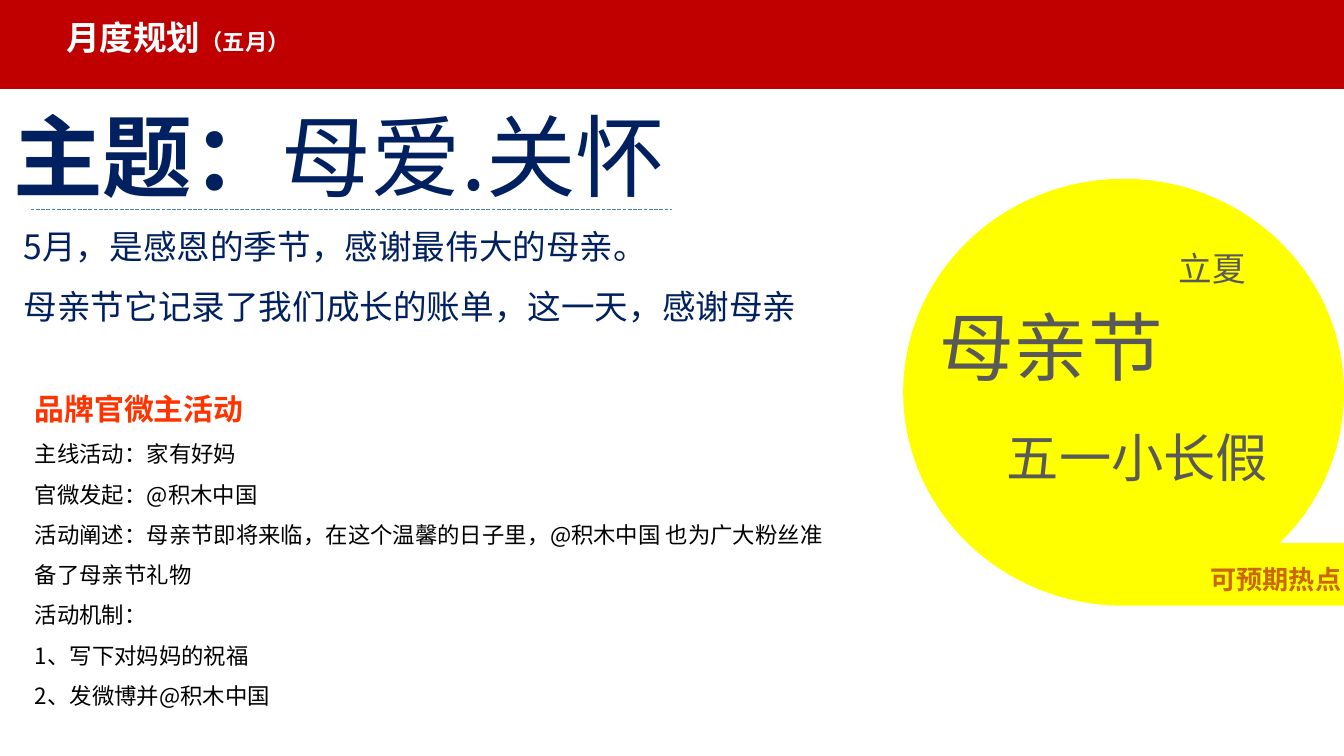
from lxml import etree
from pptx import Presentation
from pptx.dml.color import RGBColor
from pptx.enum.dml import MSO_LINE
from pptx.enum.shapes import MSO_CONNECTOR, MSO_SHAPE
from pptx.enum.text import PP_ALIGN
from pptx.oxml.ns import qn
from pptx.util import Cm, Pt

RECTANGLE = MSO_SHAPE.RECTANGLE
TAPE = MSO_SHAPE.FLOWCHART_SEQUENTIAL_ACCESS_STORAGE
STRAIGHT = MSO_CONNECTOR.STRAIGHT
LONG_DASH = MSO_LINE.LONG_DASH
LEFT = PP_ALIGN.LEFT
RIGHT = PP_ALIGN.RIGHT

RED = RGBColor(0xC0, 0x00, 0x00)
WHITE = RGBColor(0xFF, 0xFF, 0xFF)
NAVY = RGBColor(0x00, 0x20, 0x60)
YELLOW = RGBColor(0xFF, 0xFF, 0x00)
BROWN = RGBColor(0xCC, 0x66, 0x00)
ORANGE = RGBColor(0xFF, 0x33, 0x00)
BLACK = RGBColor(0x00, 0x00, 0x00)
GREY = RGBColor(0x59, 0x59, 0x59)
BLUE = RGBColor(0x4B, 0x7E, 0xBC)
FONT = "Noto Sans CJK SC"


def add_block(slide, shape_type, box, color):
    shape = slide.shapes.add_shape(shape_type, *[Cm(value) for value in box])
    shape.shadow.inherit = False
    shape.fill.solid()
    shape.fill.fore_color.rgb = color
    shape.line.fill.background()


def add_text(slide, box, paragraphs, alignment=LEFT, line_spacing=1.0):
    text_box = slide.shapes.add_textbox(*[Cm(value) for value in box])
    frame = text_box.text_frame
    frame.word_wrap = True
    for index, runs in enumerate(paragraphs):
        paragraph = frame.add_paragraph() if index else frame.paragraphs[0]
        for name, value in {"alignment": alignment, "line_spacing": line_spacing}.items():
            setattr(paragraph, name, value)
        for text, size, color, bold in runs:
            run = paragraph.add_run()
            run.text = text
            for name, value in {"name": FONT, "size": Pt(size), "bold": bold}.items():
                setattr(run.font, name, value)
            run.font.color.rgb = color
            east_asian = etree.SubElement(run.font._element, qn("a:ea"))
            east_asian.set("typeface", FONT)


presentation = Presentation()
presentation.slide_width = Cm(25.4)
presentation.slide_height = Cm(14.29)
slide = presentation.slides.add_slide(presentation.slide_layouts[6])

add_block(slide, RECTANGLE, (0, 0, 25.4, 1.68), RED)
add_text(slide, (1, 0.2, 5.77, 1.02),
         [[("月度规划", 18, WHITE, True), ("（五月）", 12, WHITE, True)]])
add_text(slide, (0, 1.78, 14.4, 2.31),
         [[("主题：", 48, NAVY, True), ("母爱.关怀", 48, NAVY, False)]])

add_block(slide, TAPE, (17.07, 3.38, 8.33, 8.07), YELLOW)

introduction = [
    "5月，是感恩的季节，感谢最伟大的母亲。",
    "母亲节它记录了我们成长的账单，这一天，感谢母亲",
]
add_text(slide, (0.2, 3.76, 16.08, 2.57),
         [[(text, 18, NAVY, False)] for text in introduction], line_spacing=1.5)

divider = slide.shapes.add_connector(STRAIGHT, Cm(0.58), Cm(3.96), Cm(12.7), Cm(3.96))
divider.line.color.rgb = BLUE
for name, value in {"width": Pt(0.25), "dash_style": LONG_DASH}.items():
    setattr(divider.line, name, value)
etree.SubElement(divider._element.spPr, qn("a:effectLst"))

activity = [
    "主线活动：家有好妈",
    "官微发起：@积木中国",
    "活动阐述：母亲节即将来临，在这个温馨的日子里，@积木中国 也为广大粉丝准备了母亲节礼物",
    "活动机制：",
    "1、写下对妈妈的祝福",
    "2、发微博并@积木中国",
]
add_text(slide, (0.41, 6.93, 15.67, 6.65),
         [[("品牌官微主活动", 16, ORANGE, True)]]
         + [[(text, 12, BLACK, False)] for text in activity], line_spacing=1.5)

hot_topics = [
    ("可预期热点", (20.93, 10.52, 4.67, 0.86), 14, BROWN, True),
    ("母亲节", (16.54, 5.56, 5.69, 1.96), 40, GREY, False),
    ("五一小长假", (18.52, 7.92, 5.69, 1.45), 28, GREY, False),
    ("立夏", (18.11, 4.57, 5.69, 1.3), 18, GREY, False),
]
for text, box, size, color, bold in hot_topics:
    add_text(slide, box, [[(text, size, color, bold)]], RIGHT)

presentation.save("out.pptx")
